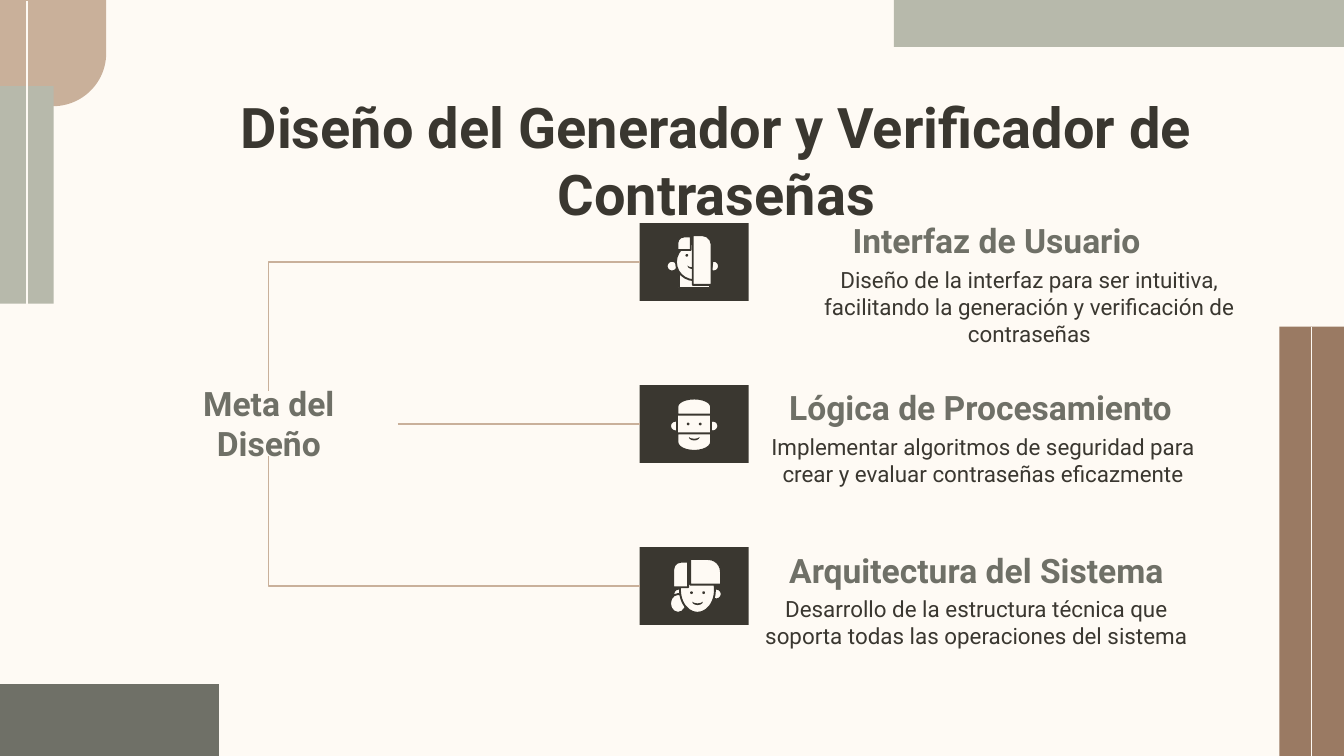
"""Builds the design overview slide: one goal linked to three design areas."""
import lxml.etree
import pptx
import pptx.dml.color
import pptx.enum.shapes
import pptx.enum.text
import pptx.oxml.ns
import pptx.util

CREAM, INK, GREY = "FEFAF4", "3A3730", "6F7067"
SAND, SAGE, BROWN = "C9B09A", "B7B9AB", "9A7A63"
CELL = pptx.util.Inches(0.1)
COLUMNS, ROWS = 100, 56.25
SHAPE = pptx.enum.shapes.MSO_SHAPE
LINK = pptx.enum.shapes.MSO_CONNECTOR
ANCHOR = pptx.enum.text.MSO_ANCHOR
rgb = pptx.dml.color.RGBColor.from_string


def span(*cells):
    """Turn grid cells into whole slide units."""
    return [round(cell * CELL) for cell in cells]


def write(holder, text, size=12, colour=INK, bold=False, anchor=ANCHOR.TOP, margin=1):
    """Fill a text holder with one centred, formatted paragraph."""
    frame = holder.text_frame
    frame.word_wrap = True
    frame.auto_size = pptx.enum.text.MSO_AUTO_SIZE.NONE
    frame.vertical_anchor = anchor
    frame.margin_left = frame.margin_right = CELL
    frame.margin_top = frame.margin_bottom = span(margin)[0]
    frame.text = text
    paragraph = frame.paragraphs[0]
    paragraph.alignment = pptx.enum.text.PP_ALIGN.CENTER
    font = paragraph.runs[0].font
    font.name, font.size, font.bold = "Roboto", pptx.util.Pt(size), bold
    font.color.rgb = rgb(colour)


deck = pptx.Presentation()
deck.slide_width, deck.slide_height = span(COLUMNS, ROWS)
slide = deck.slides.add_slide(deck.slide_layouts[5])
slide.background.fill.solid()
slide.background.fill.fore_color.rgb = rgb(CREAM)
shapes = slide.shapes

title = shapes.title
title.left, title.top, title.width, title.height = span(7.9, 5.9, 90.8, 6.3)
write(title, "Diseño del Generador y Verificador de Contraseñas", size=30, bold=True)

CARD_LEFT, CARD_WIDTH, CARD_HEIGHT = 47.6, 8.1, 5.8
card_tops = [16.6 + 12.05 * row for row in range(3)]
card_middles = [top + CARD_HEIGHT / 2 for top in card_tops]
card_centre = CARD_LEFT + CARD_WIDTH / 2

blocks = [
    (SHAPE.ROUND_1_RECTANGLE, 0, 0, 7.9, 7.9, SAND, 90),
    (SHAPE.RECTANGLE, 95.2, 24.3, 4.8, ROWS - 24.3, BROWN, 0),
    (SHAPE.RECTANGLE, 66.5, 0, 33.5, 3.5, SAGE, 0),
    (SHAPE.RECTANGLE, 0, 50.9, 16.3, ROWS - 50.9, GREY, 0),
    (SHAPE.RECTANGLE, 0, 6.4, 4, 16.2, SAGE, 0),
]
blocks += [(SHAPE.RECTANGLE, CARD_LEFT, top, CARD_WIDTH, CARD_HEIGHT, INK, 0) for top in card_tops]

UP, DOWN = 270, 90
user = dict(
    axis=-0.1, ear_reach=1.55, ear_y=0.3, eye_y=-0.5, smile_y=0.4,
    base=[(SHAPE.RECTANGLE, 0, 1.4, 2.3, 1, 0), (SHAPE.OVAL, 0, 0, 2.7, 2.7, 0)],
    hair=[(SHAPE.ROUND_1_RECTANGLE, 0.6, -0.15, 1.4, 3.7, 0),
          (SHAPE.ROUND_1_RECTANGLE, -0.75, -1.4, 1, 1, UP)])
engineer = dict(
    axis=0, ear_reach=1.4, ear_y=0.15, eye_y=0, smile_y=1.1,
    base=[(SHAPE.RECTANGLE, 0, 0, 2.5, 1.5, 0), (SHAPE.FLOWCHART_DELAY, 0, 1.35, 1.3, 2.5, DOWN)],
    hair=[(SHAPE.FLOWCHART_DELAY, 0, -1.3, 1.2, 2.5, UP)])
architect = dict(
    axis=0.25, ear_reach=1.4, ear_y=0.6, eye_y=0.5, smile_y=1.3,
    base=[(SHAPE.OVAL, -1.2, 1.3, 1.2, 1.4, 0), (SHAPE.OVAL, 0.25, 0.3, 2.6, 3.4, 0)],
    hair=[(SHAPE.ROUND_1_RECTANGLE, -1, -0.85, 1.9, 1.1, UP),
          (SHAPE.ROUND_1_RECTANGLE, 0.85, -1.05, 2.3, 1.9, 0)])

for middle, face in zip(card_middles, [user, engineer, architect]):
    axis, sides = face["axis"], (-1, 1)
    ears = [(SHAPE.OVAL, axis + side * face["ear_reach"], face["ear_y"], 0.8, 0.8, 0) for side in sides]
    eyes = [(SHAPE.OVAL, axis + side * 0.45, face["eye_y"], 0.2, 0.2, 0) for side in sides]
    smile = (SHAPE.MOON, axis, face["smile_y"], 0.25, 0.8, UP)
    for colour, parts in [(CREAM, ears + face["base"]), (INK, eyes + [smile]), (CREAM, face["hair"])]:
        for kind, x, y, width, height, turn in parts:
            blocks.append((kind, card_centre + x - width / 2, middle + y - height / 2,
                           width, height, colour, turn))

for kind, left, top, width, height, colour, turn in blocks:
    block = shapes.add_shape(kind, *span(left, top, width, height))
    block.rotation = turn
    block.shadow.inherit = False
    block.fill.solid()
    block.fill.fore_color.rgb = rgb(colour)
    if kind == SHAPE.ROUND_1_RECTANGLE:
        block.adjustments[0] = 0.5
    if colour == CREAM:
        block.line.color.rgb = rgb(INK)
        block.line.width = pptx.util.Pt(1)
    else:
        block.line.fill.background()

GOAL_X, GOAL_TOP, GOAL_HEIGHT = 20, 29.1, 4.8
for kind, ends, colour in [
    (LINK.STRAIGHT, (97.6, 24.3, 97.6, ROWS), CREAM),
    (LINK.STRAIGHT, (2, 22.6, 2, 0.1), CREAM),
    (LINK.ELBOW, (CARD_LEFT, card_middles[0], GOAL_X, GOAL_TOP), SAND),
    (LINK.STRAIGHT, (29.6, card_middles[1], CARD_LEFT, card_middles[1]), SAND),
    (LINK.ELBOW, (CARD_LEFT, card_middles[2], GOAL_X, GOAL_TOP + GOAL_HEIGHT), SAND),
]:
    link = shapes.add_connector(kind, *span(*ends))
    link.line.width = pptx.util.Pt(0.75)
    link.line.color.rgb = rgb(colour)
    properties = link._element.spPr
    lxml.etree.SubElement(properties, pptx.oxml.ns.qn("a:effectLst"))
    if kind == LINK.ELBOW:
        properties.find(pptx.oxml.ns.qn("a:prstGeom")).set("prst", "bentConnector2")

heading = dict(size=18, colour=GREY, bold=True, margin=0)
goal = shapes.add_textbox(*span(10.4, GOAL_TOP, 19.2, GOAL_HEIGHT))
write(goal, "Meta del Diseño", anchor=ANCHOR.MIDDLE, **heading)

for name, name_left, name_top, detail, detail_left, detail_width in [
    ("Interfaz de Usuario", 57.2, 14.6,
     "Diseño de la interfaz para ser intuitiva, facilitando la generación y verificación de contraseñas",
     57.8, 37.6),
    (" Lógica de Procesamiento", 55.7, 27,
     "Implementar algoritmos de seguridad para crear y evaluar contraseñas eficazmente", 55.7, 34.9),
    ("Arquitectura del Sistema", 55.7, 39.1,
     "Desarrollo de la estructura técnica que soporta todas las operaciones del sistema", 55.7, 33.9),
]:
    area = shapes.add_textbox(*span(name_left, name_top, 33.9, 4.8))
    write(area, name, anchor=ANCHOR.BOTTOM, **heading)
    write(shapes.add_textbox(*span(detail_left, name_top + 4.2, detail_width, 4.8)), detail)

deck.save("out.pptx")
